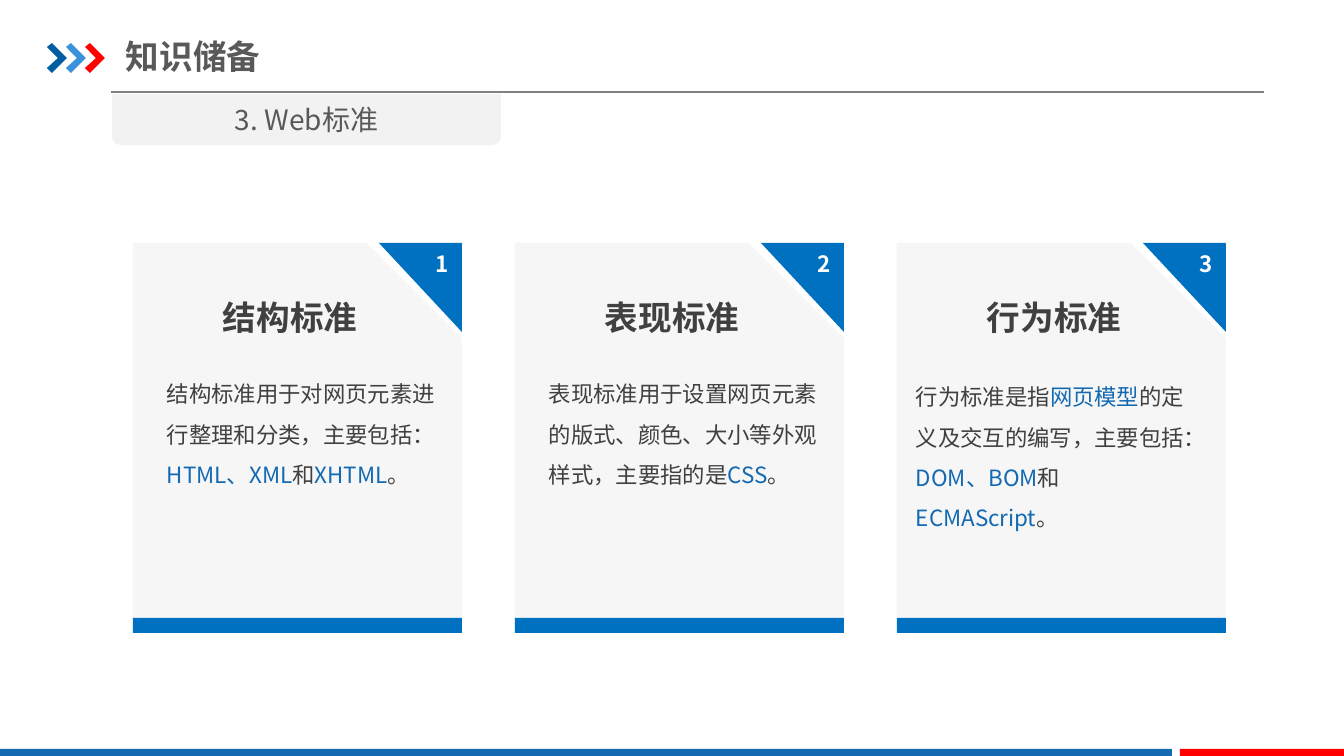
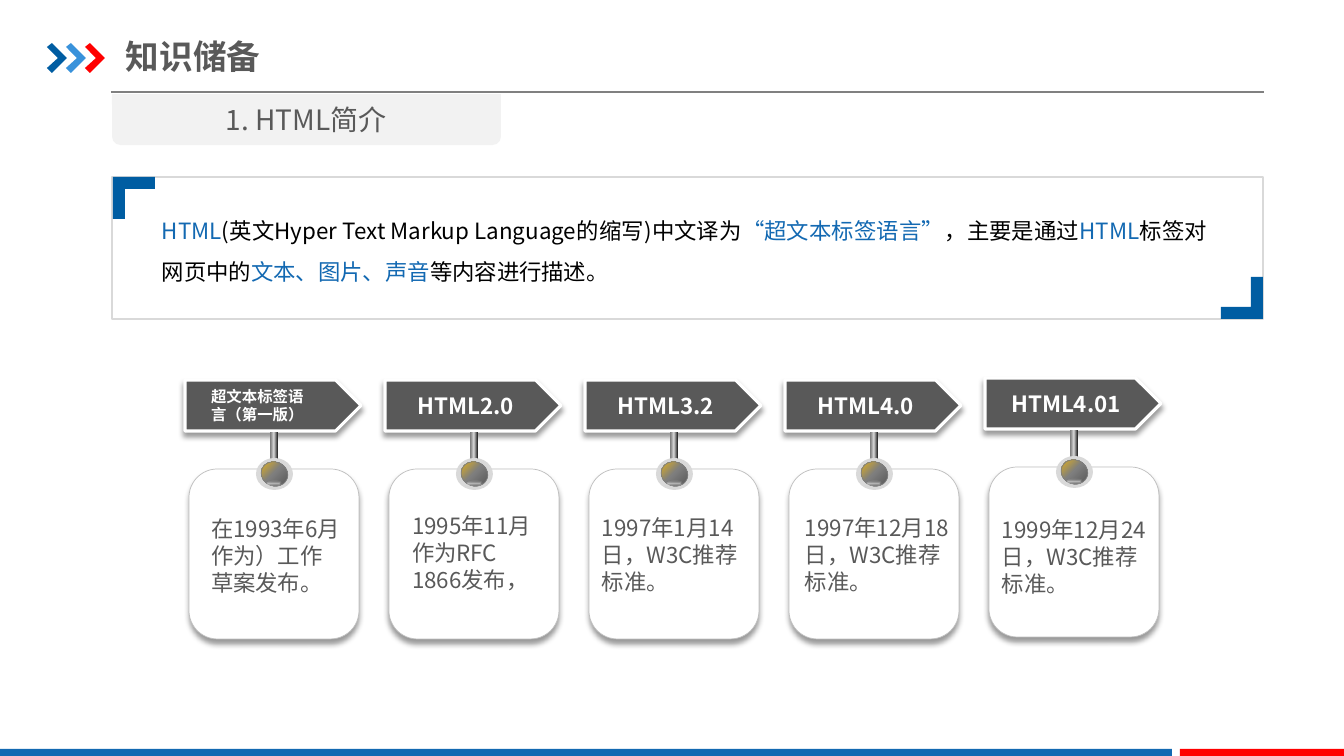
import pptx
import pptx.dml.color
import pptx.enum.shapes
import pptx.enum.text
import pptx.oxml
import pptx.oxml.ns
import pptx.util

RGBColor = pptx.dml.color.RGBColor
Shape = pptx.enum.shapes.MSO_SHAPE
Align = pptx.enum.text.PP_ALIGN
Anchor = pptx.enum.text.MSO_ANCHOR

NAVY = RGBColor(0x00, 0x5D, 0xA2)
SKY = RGBColor(0x39, 0x92, 0xDB)
RED = RGBColor(0xFF, 0x00, 0x00)
BLUE = RGBColor(0x13, 0x69, 0xB2)
CARD_BLUE = RGBColor(0x00, 0x70, 0xC0)
BLACK = RGBColor(0x00, 0x00, 0x00)
WHITE = RGBColor(0xFF, 0xFF, 0xFF)
INK = RGBColor(0x40, 0x40, 0x40)
SLATE = RGBColor(0x59, 0x59, 0x59)
GRAY = RGBColor(0x80, 0x80, 0x80)
KNOB_GRAY = RGBColor(0x7F, 0x7F, 0x7F)
BORDER = RGBColor(0xBF, 0xBF, 0xBF)
SILVER = RGBColor(0xD9, 0xD9, 0xD9)
TAB_GRAY = RGBColor(0xF2, 0xF2, 0xF2)
CARD_GRAY = RGBColor(0xF6, 0xF6, 0xF6)

FONT = "Noto Sans CJK SC"
PX = 914400 / 100.8
WIDTH, HEIGHT = 1344, 756
NAMESPACE = pptx.oxml.ns.nsdecls("a")

STEM_STOPS = [(9, "808080", 100), (49, "D9D9D9", 100), (98, "262626", 100)]
KNOB_STOPS = [(0, "FFC000", 100), (47, "7F7F7F", 100), (82, "5F5F5F", 100)]
GLOSS_STOPS = [(0, "FFFFFF", 55), (50, "D7D7D7", 12), (100, "FFFFFF", 0)]
LINEAR = '<a:lin ang="0" scaled="0"/>'
FROM_CORNER = '<a:path path="circle"><a:fillToRect r="100000" b="100000"/></a:path>'
FROM_CENTRE = ('<a:path path="shape"><a:fillToRect l="50000" t="50000" '
               'r="50000" b="50000"/></a:path>')

CARDS = [
    ("结构标准", "结构标准用于对网页元素进行整理和分类，主要包括：|HTML、XML|和|XHTML|。",
     (24, 362, 291)),
    ("表现标准", "表现标准用于设置网页元素的版式、颜色、大小等外观样式，主要指的是|CSS|。",
     (24, 362, 291)),
    ("行为标准", "行为标准是指|网页模型|的定义及交互的编写，主要包括：|DOM、BOM|和|ECMAScript|。",
     (9, 365, 304)),
]

INTRO = ("|HTML|(英文Hyper Text Markup Language的缩写)中文译为|“超文本标签语言”|"
         "，主要是通过|HTML|标签对网页中的|文本、图片、声音|等内容进行描述。")

MILESTONES = [
    ("超文本标签语\n言（第一版）", "在1993年6月作为）工作草案发布。", 380, (16, 510, 153)),
    ("HTML2.0", "1995年11月作为RFC 1866发布，", 380, (17, 507, 153)),
    ("HTML3.2", "1997年1月14日，W3C推荐标准。", 380, (7, 509, 169)),
    ("HTML4.0", "1997年12月18日，W3C推荐标准。", 380, (10, 509, 167)),
    ("HTML4.01", "1999年12月24日，W3C推荐标准。", 378, (7, 511, 168)),
]


def px(length):
    """Turn a length in px into EMU."""
    return pptx.util.Emu(round(length * PX))


class Deck:
    """Hold the presentation style and the slide being drawn."""

    def __init__(self):
        """Start an empty presentation."""
        self.deck = pptx.Presentation()
        self.deck.slide_width, self.deck.slide_height = px(WIDTH), px(HEIGHT)

    def start_page(self, title, topic):
        """Add a slide with the shared header and footer."""
        self.page = self.deck.slides.add_slide(self.deck.slide_layouts[6])
        self.shapes = self.page.shapes
        self.rule(111, 92, 1264)
        self.start_group()
        for left, color in zip((47, 66, 85), (NAVY, SKY, RED)):
            self.outline(left, 43, [(0, 4), (5, 0), (20, 15), (5, 30), (0, 25), (11, 15)], color)
        self.end_group()
        self.shape(Shape.RECTANGLE, 0, 749, 1172, 7, BLUE)
        self.shape(Shape.RECTANGLE, 1180, 749, 164, 7, RED)
        box = self.text(126, 29, 429, 55, title, 24, SLATE, bold=True, insets=(0, 7))
        box.text_frame.vertical_anchor = Anchor.MIDDLE
        tab = self.shape(Shape.ROUND_2_SAME_RECTANGLE, 112, 94, 389, 51, TAB_GRAY)
        tab.rotation = 180
        self.text(112, 97, 389, 44, topic, 20, SLATE, align=Align.CENTER)

    def start_group(self):
        """Collect the next shapes in a group."""
        self.shapes = self.page.shapes.add_group_shape().shapes

    def end_group(self):
        """Draw straight on the slide again."""
        self.shapes = self.page.shapes

    def rule(self, left, top, right):
        """Draw a thin horizontal line."""
        line = self.shapes.add_connector(
            pptx.enum.shapes.MSO_CONNECTOR.STRAIGHT, px(left), px(top), px(right), px(top))
        line.line.color.rgb = GRAY
        line.line.width = pptx.util.Pt(0.75)
        line._element.spPr.append(pptx.oxml.parse_xml(f"<a:effectLst {NAMESPACE}/>"))

    def paint(self, shape, fill, line=None, width=1):
        """Set fill and line of a shape and drop its shadow."""
        shape.shadow.inherit = False
        if fill is None:
            shape.fill.background()
        else:
            shape.fill.solid()
            shape.fill.fore_color.rgb = fill
        if line is None:
            shape.line.fill.background()
        else:
            shape.line.color.rgb = line
            shape.line.width = pptx.util.Pt(width)
        return shape

    def shape(self, kind, left, top, width, height, fill, line=None, line_width=1):
        """Draw a preset shape."""
        shape = self.shapes.add_shape(kind, px(left), px(top), px(width), px(height))
        return self.paint(shape, fill, line, line_width)

    def outline(self, left, top, points, fill):
        """Draw a closed outline from points relative to its corner."""
        places = [(left + x, top + y) for x, y in points]
        builder = self.shapes.build_freeform(*places[0], scale=PX)
        builder.add_line_segments(places[1:], close=True)
        return self.paint(builder.convert_to_shape(), fill)

    def shade(self, shape, stops, direction):
        """Give a shape a gradient fill."""
        marks = "".join(
            f'<a:gs pos="{place * 1000}"><a:srgbClr val="{color}">'
            f'<a:alpha val="{alpha * 1000}"/></a:srgbClr></a:gs>'
            for place, color, alpha in stops)
        shape.fill.background()
        properties = shape._element.spPr
        properties.replace(
            properties.find(pptx.oxml.ns.qn("a:noFill")),
            pptx.oxml.parse_xml(f'<a:gradFill {NAMESPACE} rotWithShape="1">'
                                f"<a:gsLst>{marks}</a:gsLst>{direction}</a:gradFill>"))

    def drop_shadow(self, shape):
        """Put a soft shadow below a shape."""
        effects = shape._element.spPr.find(pptx.oxml.ns.qn("a:effectLst"))
        effects.append(pptx.oxml.parse_xml(
            f'<a:outerShdw {NAMESPACE} blurRad="50800" dist="38100" dir="5400000" '
            'algn="t" rotWithShape="0"><a:srgbClr val="000000">'
            '<a:alpha val="40000"/></a:srgbClr></a:outerShdw>'))

    def fill_text(self, shape, text, size, color, bold=False, align=Align.LEFT,
                  spacing=None, insets=(10, 5)):
        """Set text whose parts between bars are highlighted."""
        frame = shape.text_frame
        frame.word_wrap = True
        frame.vertical_anchor = Anchor.TOP
        frame.margin_left = frame.margin_right = px(insets[0])
        frame.margin_top = frame.margin_bottom = px(insets[1])
        for index, line in enumerate(text.split("\n")):
            para = frame.add_paragraph() if index else frame.paragraphs[0]
            para.alignment = align
            if spacing:
                para.line_spacing = spacing
            for order, part in enumerate(line.split("|")):
                if part:
                    span = para.add_run()
                    span.text = part
                    span.font.name = FONT
                    span.font.size = pptx.util.Pt(size)
                    span.font.bold = bold
                    span.font.color.rgb = BLUE if order % 2 else color
                    span.font._element.find(pptx.oxml.ns.qn("a:latin")).addnext(
                        pptx.oxml.parse_xml(f'<a:ea {NAMESPACE} typeface="{FONT}"/>'))

    def text(self, left, top, width, height, text, size, color, **style):
        """Add a text box."""
        box = self.shapes.add_textbox(px(left), px(top), px(width), px(height))
        self.fill_text(box, text, size, color, **style)
        return box

    def card(self, left, number, title, body, body_place):
        """Draw a numbered card with a cut corner."""
        panel = self.shape(Shape.SNIP_1_RECTANGLE, left, 243, 329, 390, CARD_GRAY)
        panel.adjustments[0] = 0.29
        self.shape(Shape.RECTANGLE, left, 618, 329, 15, CARD_BLUE)
        corner = self.outline(left + 246, 243, [(83, 0), (0, 0), (83, 89)], CARD_BLUE)
        self.fill_text(corner, str(number), 16, WHITE, bold=True, align=Align.RIGHT,
                       insets=(13, 7))
        offset, top, width = body_place
        self.text(left + offset, top, width, 132, body, 16, INK, spacing=1.5)
        self.text(left + 80, 272, 242, 65, title, 24, INK, bold=True, spacing=1.5)

    def framed_text(self, text):
        """Draw a bordered text with two corner brackets."""
        self.shape(Shape.RECTANGLE, 112, 177, 1151, 142, None, SILVER)
        self.text(162, 204, 1045, 82, text, 16, BLACK, align=Align.JUSTIFY,
                  spacing=1.5, insets=(0, 0))
        bracket = [(0, 0), (42, 0), (42, 12), (12, 12), (12, 42), (0, 42)]
        for left, top, sign in ((113, 177, 1), (1263, 319, -1)):
            self.outline(left, top, [(sign * x, sign * y) for x, y in bracket], NAVY)

    def milestone(self, left, label, note, top, note_place):
        """Draw an arrow sign pinned to a note."""
        self.start_group()
        sign = self.shape(Shape.PENTAGON, left, top, 176, 51, SLATE, WHITE, 2.25)
        note_card = self.shape(Shape.ROUNDED_RECTANGLE, left + 4, top + 89, 170, 170,
                               WHITE, BORDER, 0.5)
        for shape in (sign, note_card):
            self.drop_shadow(shape)
        stem = self.shape(Shape.RECTANGLE, left + 85, top + 52, 8, 33, None)
        self.shade(stem, STEM_STOPS, LINEAR)
        self.shape(Shape.OVAL, left + 71, top + 78, 37, 32, SILVER)
        knob = self.shape(Shape.OVAL, left + 76, top + 82, 27, 24, None, KNOB_GRAY, 0.5)
        knob.rotation = 21
        self.shade(knob, KNOB_STOPS, FROM_CORNER)
        gloss = self.shape(Shape.OVAL, left + 81, top + 101, 16, 5, None)
        gloss.rotation = 356.5
        self.shade(gloss, GLOSS_STOPS, FROM_CENTRE)
        if "\n" in label:
            self.text(left + 16, top + 2, 153, 47, label, 11, WHITE, bold=True)
        else:
            self.text(left + 4, top + 7, 154, 42, label, 16, WHITE, bold=True,
                      align=Align.CENTER)
        offset, note_top, width = note_place
        self.text(left + offset, note_top, width, 92, note, 16, SLATE)
        self.end_group()


def main():
    """Build both slides."""
    slides = Deck()
    slides.start_page("知识储备", "3. Web标准")
    for index, card in enumerate(CARDS):
        slides.card(133 + 382 * index, index + 1, *card)
    slides.start_page("知识储备", "1. HTML简介")
    slides.framed_text(INTRO)
    for index, milestone in enumerate(MILESTONES):
        slides.milestone(185 + 200 * index, *milestone)
    slides.deck.save("out.pptx")


if __name__ == "__main__":
    main()
